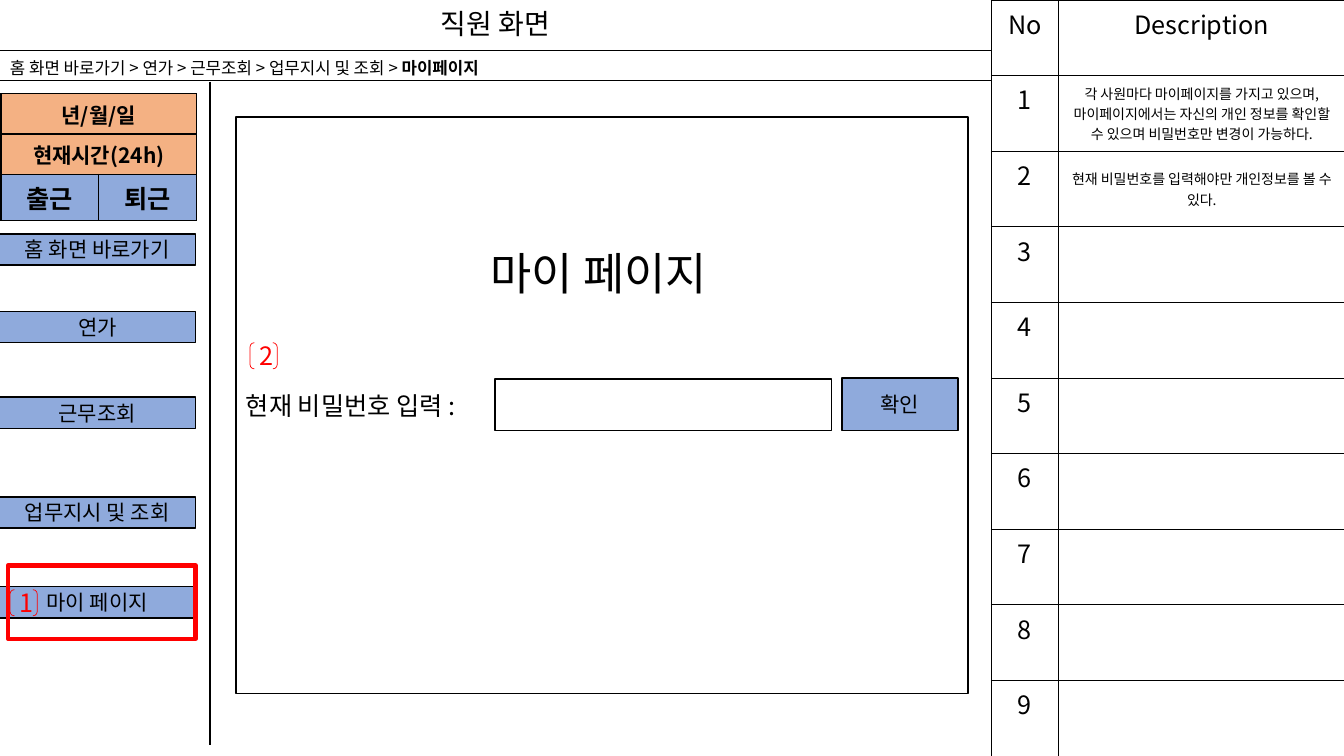
"""Build the employee "my page" wireframe slide."""
from dataclasses import dataclass

from lxml import etree
from pptx import Presentation
from pptx.dml.color import RGBColor
from pptx.enum.shapes import MSO_CONNECTOR, MSO_SHAPE
from pptx.enum.text import MSO_ANCHOR, PP_ALIGN
from pptx.oxml.ns import qn
from pptx.util import Inches, Pt

RECT, BRACKETS = MSO_SHAPE.RECTANGLE, MSO_SHAPE.DOUBLE_BRACKET
STRAIGHT = MSO_CONNECTOR.STRAIGHT
LEFT, CENTER = PP_ALIGN.LEFT, PP_ALIGN.CENTER
TOP, MIDDLE = MSO_ANCHOR.TOP, MSO_ANCHOR.MIDDLE


@dataclass(frozen=True)
class Theme:
    """Colours, font and type sizes of the slide."""
    font: str = "Noto Sans CJK KR"
    black: str = "000000"
    white: str = "FFFFFF"
    red: str = "FF0000"
    blue: str = "8FAADC"
    orange: str = "F4B183"
    hero: int = 32
    title: int = 20
    large: int = 18
    button: int = 15
    crumb: int = 12
    note: int = 10


THEME = Theme()
MENU = [("홈 화면 바로가기", 2.32), ("연가", 3.09), ("근무조회", 3.94),
        ("업무지시 및 조회", 4.93), ("마이 페이지", 5.82)]
NOTES = ["각 사원마다 마이페이지를 가지고 있으며, 마이페이지에서는 자신의 개인 정보를 "
         "확인할 수 있으며 비밀번호만 변경이 가능하다.",
         "현재 비밀번호를 입력해야만 개인정보를 볼 수 있다."]


def add_span(para, text, *, size, color=THEME.black, bold=False):
    """Append a formatted run to a paragraph."""
    span = para.add_run()
    span.text = text
    font = span.font
    font.size, font.bold = Pt(size), bold
    font.color.rgb = RGBColor.from_string(color)
    font.name = THEME.font
    east_asian = etree.SubElement(font._element, qn("a:ea"))
    east_asian.set("typeface", THEME.font)


def write(frame, text, *, align=CENTER, anchor=MIDDLE, **style):
    """Write one paragraph into a text frame."""
    frame.word_wrap = True
    frame.vertical_anchor = anchor
    para = frame.paragraphs[0]
    para.alignment = align
    add_span(para, text, **style)
    return para


def add_box(page, at, *, kind=RECT, fill=None, line=THEME.black, width=1):
    """Add a flat shape with an optional fill and outline."""
    box = page.shapes.add_shape(kind, *map(Inches, at))
    box.shadow.inherit = False
    if fill:
        box.fill.solid()
        box.fill.fore_color.rgb = RGBColor.from_string(fill)
    else:
        box.fill.background()
    if line:
        box.line.color.rgb = RGBColor.from_string(line)
        box.line.width = Pt(width)
    else:
        box.line.fill.background()
    return box


def add_button(page, at, text):
    """Add a blue button."""
    box = add_box(page, at, fill=THEME.blue)
    write(box.text_frame, text, size=THEME.button)


def add_marker(page, left, top, number):
    """Add a red bracketed callout number."""
    box = add_box(page, (left, top, 0.27, 0.26), kind=BRACKETS, line=THEME.red, width=0.5)
    frame = box.text_frame
    frame.margin_left = Inches(0.06)
    frame.margin_right = frame.margin_top = frame.margin_bottom = 0
    write(frame, number, size=THEME.large, color=THEME.red)


def add_grid(page, left, top, columns, rows):
    """Add a plain table with the given column widths and row heights."""
    size = map(Inches, (left, top, sum(columns), sum(rows)))
    table = page.shapes.add_table(len(rows), len(columns), *size).table
    table.first_row = table.horz_banding = False
    for column, width in zip(table.columns, columns):
        column.width = Inches(width)
    for row, height in zip(table.rows, rows):
        row.height = Inches(height)
    return table


def format_cell(cell, *, width, fill=None):
    """Give a cell black borders and its fill."""
    properties = cell._tc.get_or_add_tcPr()
    for side in ("a:lnL", "a:lnR", "a:lnT", "a:lnB"):
        border = etree.SubElement(properties, qn(side), w=str(Pt(width)))
        solid = etree.SubElement(border, qn("a:solidFill"))
        etree.SubElement(solid, qn("a:srgbClr"), val=THEME.black)
    if fill:
        cell.fill.solid()
        cell.fill.fore_color.rgb = RGBColor.from_string(fill)
    else:
        cell.fill.background()


def write_cell(cell, text, *, anchor=TOP, **style):
    """Write centred text into a table cell."""
    cell.vertical_anchor = anchor
    para = cell.text_frame.paragraphs[0]
    para.alignment = CENTER
    add_span(para, text, **style)


def add_descriptions(page):
    """Add the numbered description table."""
    table = add_grid(page, 9.83, 0, [0.67, 2.84], [0.75] * 10)
    for cell in table.iter_cells():
        format_cell(cell, width=0.5)
    for row, label in enumerate(["No", *map(str, range(1, 10))]):
        write_cell(table.cell(row, 0), label, size=THEME.large)
    write_cell(table.cell(0, 1), "Description", size=THEME.large)
    for row, note in enumerate(NOTES, start=1):
        write_cell(table.cell(row, 1), note, size=THEME.note, anchor=MIDDLE)


def add_clock(page):
    """Add the date, time and attendance table."""
    table = add_grid(page, 0.01, 0.93, [0.97, 0.97], [0.4, 0.4, 0.46])
    for row, fill in enumerate([THEME.orange, THEME.orange, THEME.blue]):
        for cell in table.rows[row].cells:
            format_cell(cell, width=1, fill=fill)
    for row, text in enumerate(["년/월/일", "현재시간(24h)"]):
        table.cell(row, 0).merge(table.cell(row, 1))
        write_cell(table.cell(row, 0), text, size=THEME.button, bold=True)
    for column, text in enumerate(["출근", "퇴근"]):
        write_cell(table.cell(2, column), text, size=THEME.large, bold=True)


def add_header(page):
    """Add the title bar and the breadcrumb bar."""
    title = add_box(page, (0, 0, 9.83, 0.5), width=0.75)
    write(title.text_frame, "직원 화면", size=THEME.title).line_spacing = 0.9
    add_box(page, (0, 0.5, 9.83, 0.3), width=0.75)
    crumbs = page.shapes.add_textbox(*map(Inches, (0, 0.52, 6.14, 0.3)))
    para = write(crumbs.text_frame, "홈 화면 바로가기 > 연가 > 근무조회 > 업무지시 및 조회 > ",
                 size=THEME.crumb, align=LEFT, anchor=TOP)
    add_span(para, "마이페이지", size=THEME.crumb, bold=True)


def add_divider(page):
    """Add the line between the menu and the content."""
    line = page.shapes.add_connector(STRAIGHT, *map(Inches, (2.08, 0.81, 2.08, 7.39)))
    line.line.color.rgb = RGBColor.from_string(THEME.black)
    line.line.width = Pt(1.5)
    etree.SubElement(line._element.spPr, qn("a:effectLst"))


def add_content(page):
    """Add the password form."""
    panel = add_box(page, (2.34, 1.16, 7.26, 5.72), fill=THEME.white)
    write(panel.text_frame, "현재 비밀번호 입력 :", size=THEME.large, align=LEFT)
    add_box(page, (4.91, 3.76, 3.34, 0.51), fill=THEME.white)
    add_button(page, (8.35, 3.75, 1.15, 0.52), "확인")
    heading = add_box(page, (3.63, 2.16, 4.62, 1.08), fill=THEME.white, line=None)
    write(heading.text_frame, "마이 페이지", size=THEME.hero)


def main():
    """Build and save the deck."""
    deck = Presentation()
    deck.slide_width, deck.slide_height = Inches(13.33), Inches(7.5)
    page = deck.slides.add_slide(deck.slide_layouts[6])
    add_header(page)
    add_descriptions(page)
    add_clock(page)
    for text, top in MENU:
        add_button(page, (-0.01, top, 1.95, 0.31), text)
    add_divider(page)
    add_content(page)
    add_marker(page, 0.1, 5.85, "1")
    add_marker(page, 2.48, 3.4, "2")
    add_box(page, (0.08, 5.61, 1.86, 0.73), line=THEME.red, width=3)
    deck.save("out.pptx")


if __name__ == "__main__":
    main()
